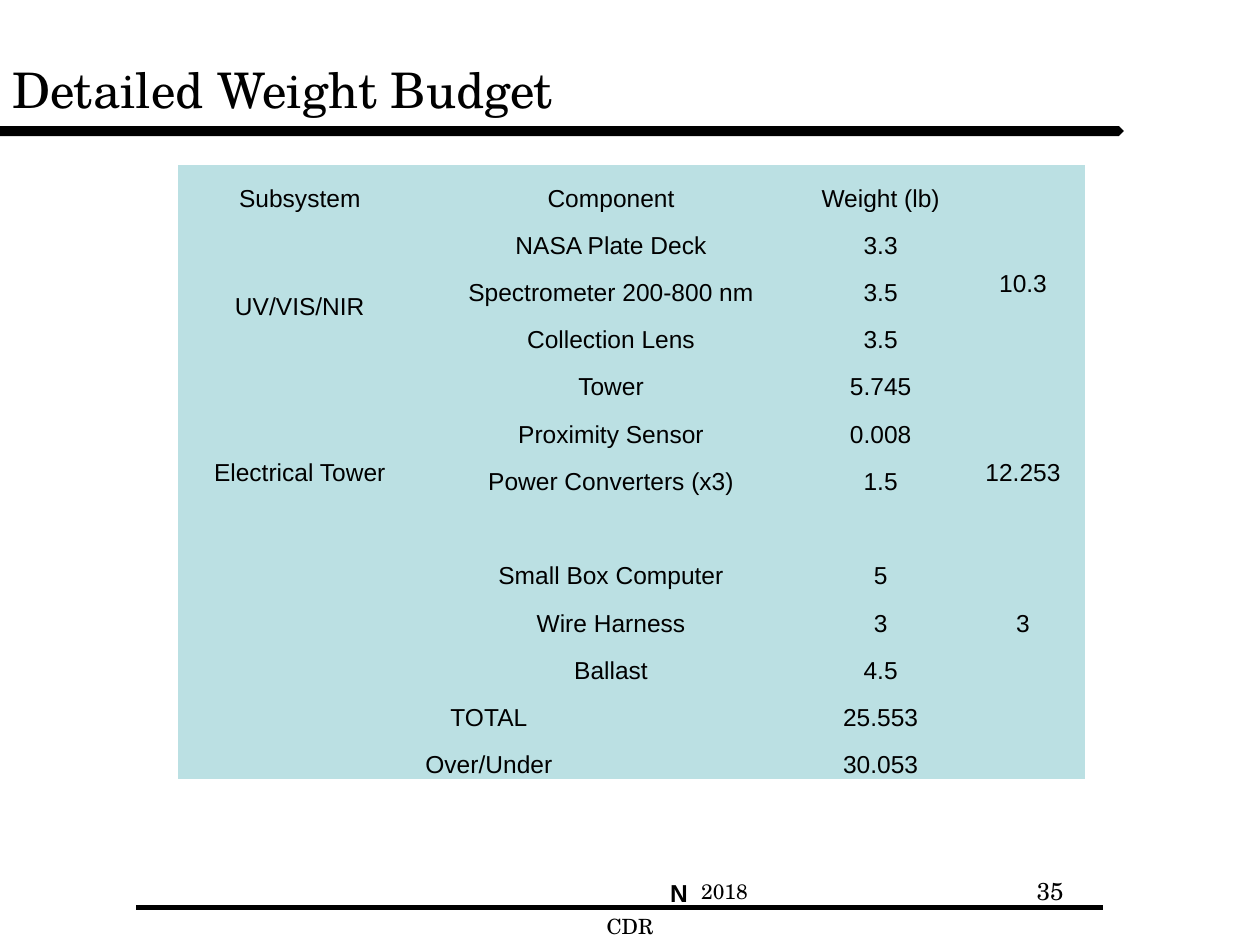
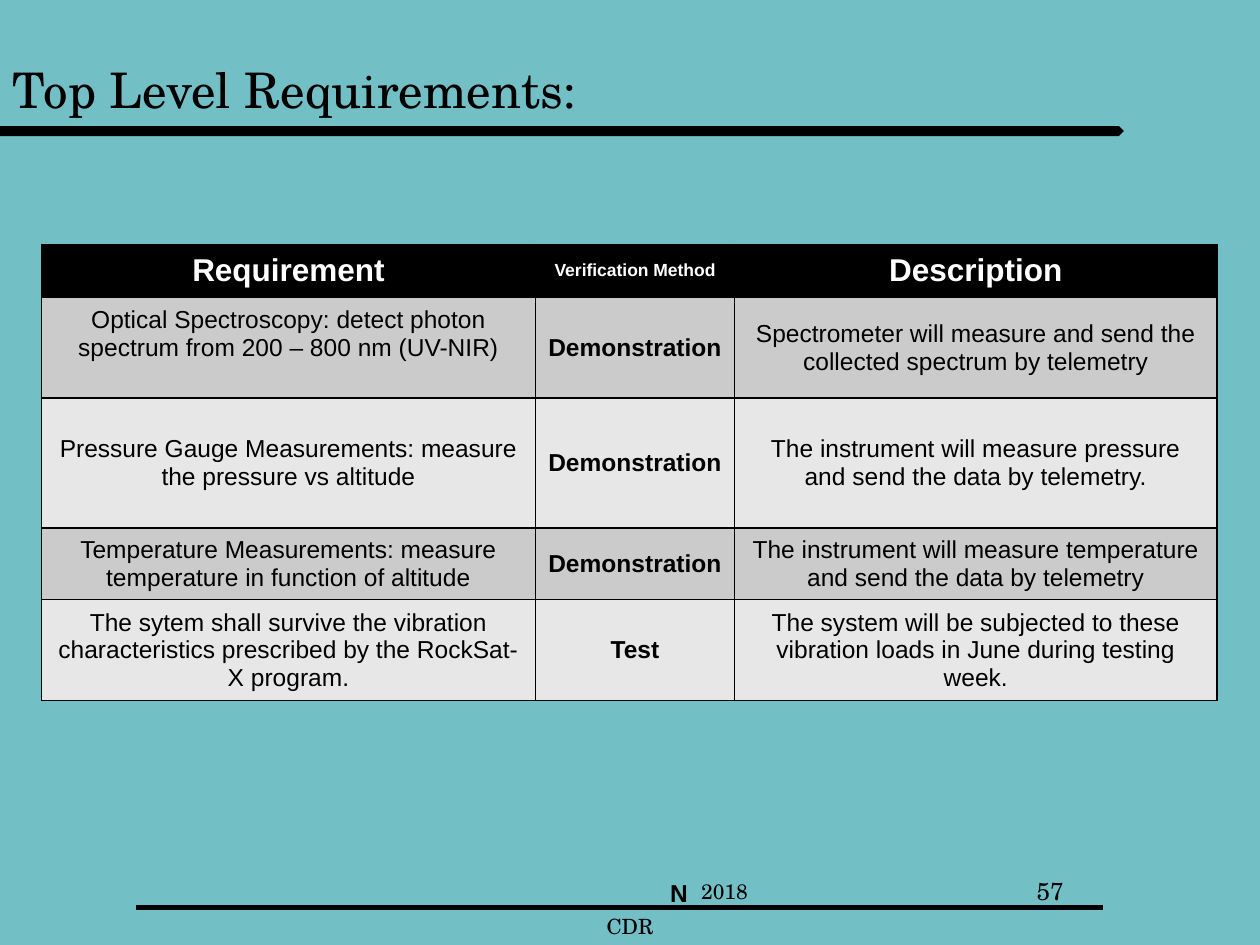
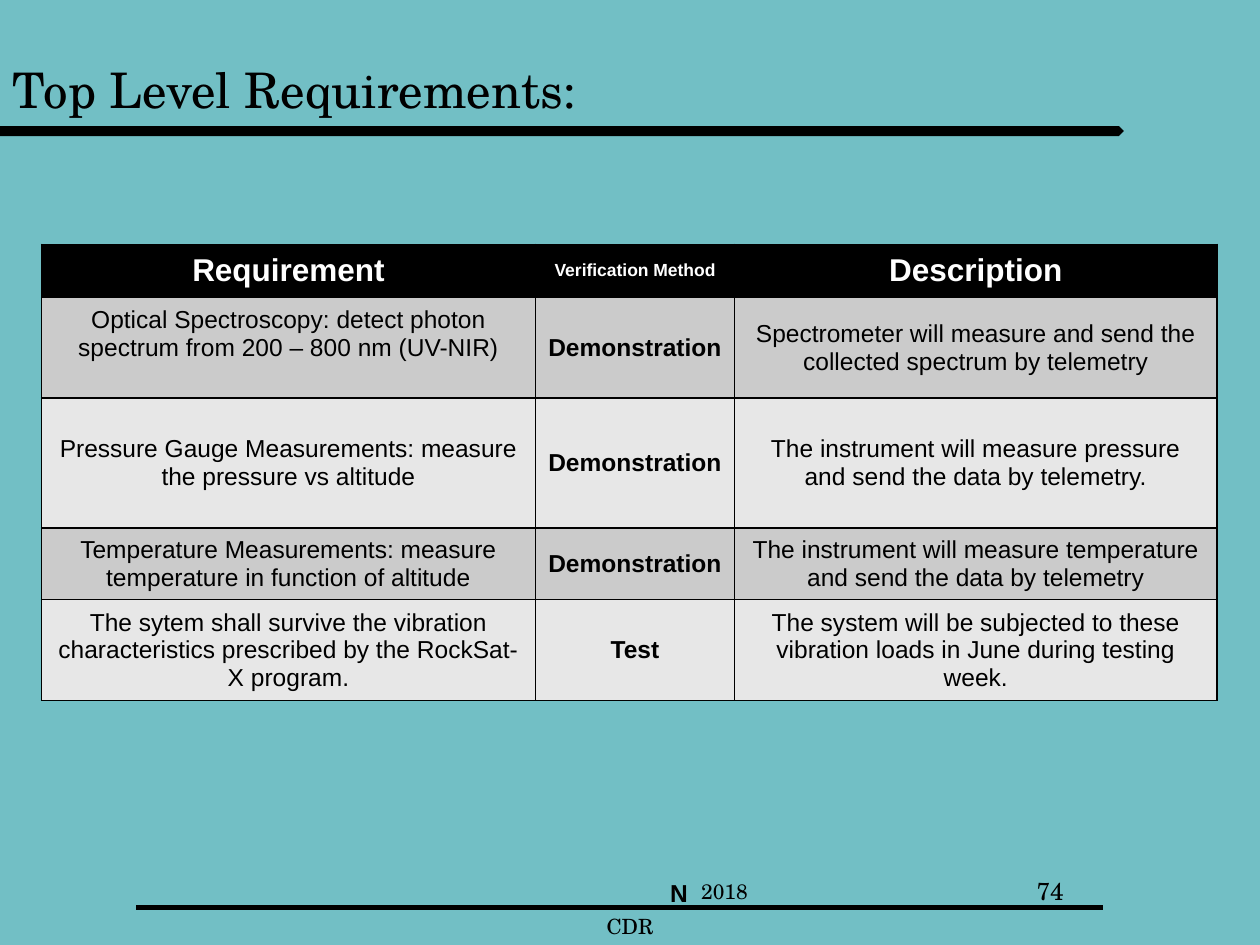
from pptx import Presentation
from pptx import util as u
from pptx.dml.color import RGBColor
from pptx.enum import shapes, text
from pptx.oxml import ns, xmlchemy

COLORS = {
    "ink": "000000",
    "paper": "FFFFFF",
    "teal": "72BFC5",
    "pale_teal": "BBE0E3",
    "odd_row": "CBCBCB",
    "even_row": "E7E7E7",
}
SERIF = "TeX Gyre Schola"
SANS = "Arial"
PLAIN_TABLE = "{2D5ABB26-0587-4C30-8999-92F81FD0307C}"

WEIGHT_COLS = [1.94, 3, 1.28, 0.98]
WEIGHT_ROW_HEIGHT = 0.375
WEIGHTS = [
    ["Subsystem", "Component", "Weight (lb)", ""],
    ["", "NASA Plate Deck", "3.3", "10.3"],
    ["UV/VIS/NIR", "Spectrometer 200-800 nm", "3.5", ""],
    ["", "Collection Lens", "3.5", ""],
    ["Electrical Tower", "Tower", "5.745", "12.253"],
    ["", "Proximity Sensor", "0.008", ""],
    ["", "Power Converters (x3)", "1.5", ""],
    ["", "", "", ""],
    ["", "Small Box Computer", "5", ""],
    ["", "Wire Harness", "3", "3"],
    ["", "Ballast", "4.5", ""],
    ["TOTAL", "", "25.553", ""],
    ["Over/Under", "", "30.053", ""],
]
# First and last cell (row, column) of each merged group
SUBSYSTEM_GROUPS = [((1, 3), (3, 3)), ((2, 0), (3, 0)), ((4, 0), (8, 0)), ((4, 3), (8, 3))]
SUMMARY_GROUPS = [((11, 0), (11, 1)), ((12, 0), (12, 1))]

REQUIREMENT_COLS = [3.92, 1.58, 3.83]
REQUIREMENT_ROWS = [0.42, 0.8, 1.03, 0.57, 0.8]
REQUIREMENTS = [
    ["Requirement", "Verification Method", "Description"],
    ["Optical Spectroscopy: detect photon spectrum from 200 – 800 nm (UV-NIR)",
     "Demonstration",
     "Spectrometer will measure and send the collected spectrum by telemetry"],
    ["Pressure Gauge Measurements: measure the pressure vs altitude",
     "Demonstration",
     "The instrument will measure pressure and send the data by telemetry."],
    ["Temperature Measurements: measure temperature in function of altitude",
     "Demonstration",
     "The instrument will measure temperature and send the data by telemetry"],
    ["The sytem shall survive the vibration characteristics prescribed by the RockSat-X program.",
     "Test",
     "The system will be subjected to these vibration loads in June during testing week."],
]


def rgb(name):
    return RGBColor.from_string(COLORS[name])


def paint(fill, color):
    fill.solid()
    fill.fore_color.rgb = rgb(color)


def write(frame, words, size=14, font=SANS, color="ink", bold=False, align="CENTER"):
    paragraph = frame.paragraphs[0]
    paragraph.alignment = getattr(text.PP_ALIGN, align)
    run = paragraph.add_run()
    run.text = words
    run.font.size = u.Pt(size)
    run.font.name = font
    run.font.bold = bold
    run.font.color.rgb = rgb(color)


def add_label(slide, words, left, top, width, height, anchor="TOP", **style):
    frame = slide.shapes.add_textbox(*map(u.Inches, (left, top, width, height))).text_frame
    frame.word_wrap = True
    frame.vertical_anchor = getattr(text.MSO_ANCHOR, anchor)
    write(frame, words, **style)


def add_footer(slide, number):
    add_label(slide, "2018", 4.25, 6.92, 3, 0.3, size=12, font=SERIF)
    rule = slide.shapes.add_connector(
        shapes.MSO_CONNECTOR.STRAIGHT, *map(u.Inches, (1.08, 7.2, 8.75, 7.2)))
    rule.line.width = u.Pt(3)
    rule.line.color.rgb = rgb("ink")
    rule.element.spPr.append(xmlchemy.OxmlElement("a:effectLst"))
    add_label(slide, "CDR", 3.5, 7.2, 3, 0.3, size=12, font=SERIF)
    add_label(slide, "N", 3.89, 6.92, 3, 0.34, bold=True)
    add_label(slide, str(number), 7.17, 6.9, 2.33, 0.52, font=SERIF)


def add_base_slide(deck, title, number, background):
    slide = deck.slides.add_slide(deck.slide_layouts[6])
    paint(slide.background.fill, background)
    add_footer(slide, number)
    # Title and the pointed band under it
    band = slide.shapes.add_shape(
        shapes.MSO_SHAPE.PENTAGON, *map(u.Inches, (0, 1, 8.92, 0.08)))
    band.shadow.inherit = False
    paint(band.fill, "ink")
    band.line.fill.background()
    add_label(slide, title, 0, 0.08, 9, 1.25, anchor="MIDDLE",
              size=28, font=SERIF, align="LEFT")
    return slide


def add_grid(slide, left, top, cols, rows):
    frame = slide.shapes.add_table(
        len(rows), len(cols), *map(u.Inches, (left, top, sum(cols), sum(rows))))
    for style_id in frame.element.iter(ns.qn("a:tableStyleId")):
        style_id.text = PLAIN_TABLE
    grid = frame.table
    grid.first_row = grid.horz_banding = False
    for column, width in zip(grid.columns, cols):
        column.width = u.Inches(width)
    for row, height in zip(grid.rows, rows):
        row.height = u.Inches(height)
    return grid


def fill_cell(cell, words, fill, margins=(0.1, 0.05, 0.1, 0.05), anchor="MIDDLE", **style):
    paint(cell.fill, fill)
    (cell.margin_left, cell.margin_top,
     cell.margin_right, cell.margin_bottom) = map(u.Inches, margins)
    cell.vertical_anchor = getattr(text.MSO_ANCHOR, anchor)
    if words:
        write(cell.text_frame, words, **style)


def add_borders(cell, color="ink", width=1):
    properties = cell._tc.get_or_add_tcPr()
    for index, side in enumerate(("lnL", "lnR", "lnT", "lnB")):
        border = xmlchemy.OxmlElement(f"a:{side}")
        border.set("w", str(u.Pt(width)))
        solid = xmlchemy.OxmlElement("a:solidFill")
        shade = xmlchemy.OxmlElement("a:srgbClr")
        shade.set("val", COLORS[color])
        solid.append(shade)
        border.append(solid)
        properties.insert(index, border)


def add_weight_table(slide):
    grid = add_grid(slide, 1.41, 1.31, WEIGHT_COLS, [WEIGHT_ROW_HEIGHT] * len(WEIGHTS))
    group_starts = [first for first, _ in SUBSYSTEM_GROUPS]
    for r, entries in enumerate(WEIGHTS):
        for c, words in enumerate(entries):
            fill_cell(grid.cell(r, c), words, "pale_teal", margins=(0.01, 0.01, 0.01, 0),
                      anchor="MIDDLE" if (r, c) in group_starts else "BOTTOM")
    for first, last in SUBSYSTEM_GROUPS + SUMMARY_GROUPS:
        grid.cell(*first).merge(grid.cell(*last))


def add_requirement_table(slide):
    grid = add_grid(slide, 0.33, 1.94, REQUIREMENT_COLS, REQUIREMENT_ROWS)
    for r, entries in enumerate(REQUIREMENTS):
        for c, words in enumerate(entries):
            cell = grid.cell(r, c)
            if r == 0:
                fill_cell(cell, words, "ink", color="paper", bold=True,
                          size=10 if c == 1 else 18)
            else:
                fill_cell(cell, words, "odd_row" if r % 2 else "even_row", bold=c == 1)
            add_borders(cell)
    # The first requirement sits one line higher than its row's middle
    grid.cell(1, 0).margin_bottom = u.Inches(0.27)


def main():
    deck = Presentation()
    deck.slide_width, deck.slide_height = u.Inches(10), u.Inches(7.5)

    add_weight_table(add_base_slide(deck, "Detailed Weight Budget", 35, "paper"))
    for number in (57, 74):
        add_requirement_table(add_base_slide(deck, "Top Level Requirements:", number, "teal"))

    deck.save("out.pptx")


if __name__ == "__main__":
    main()
